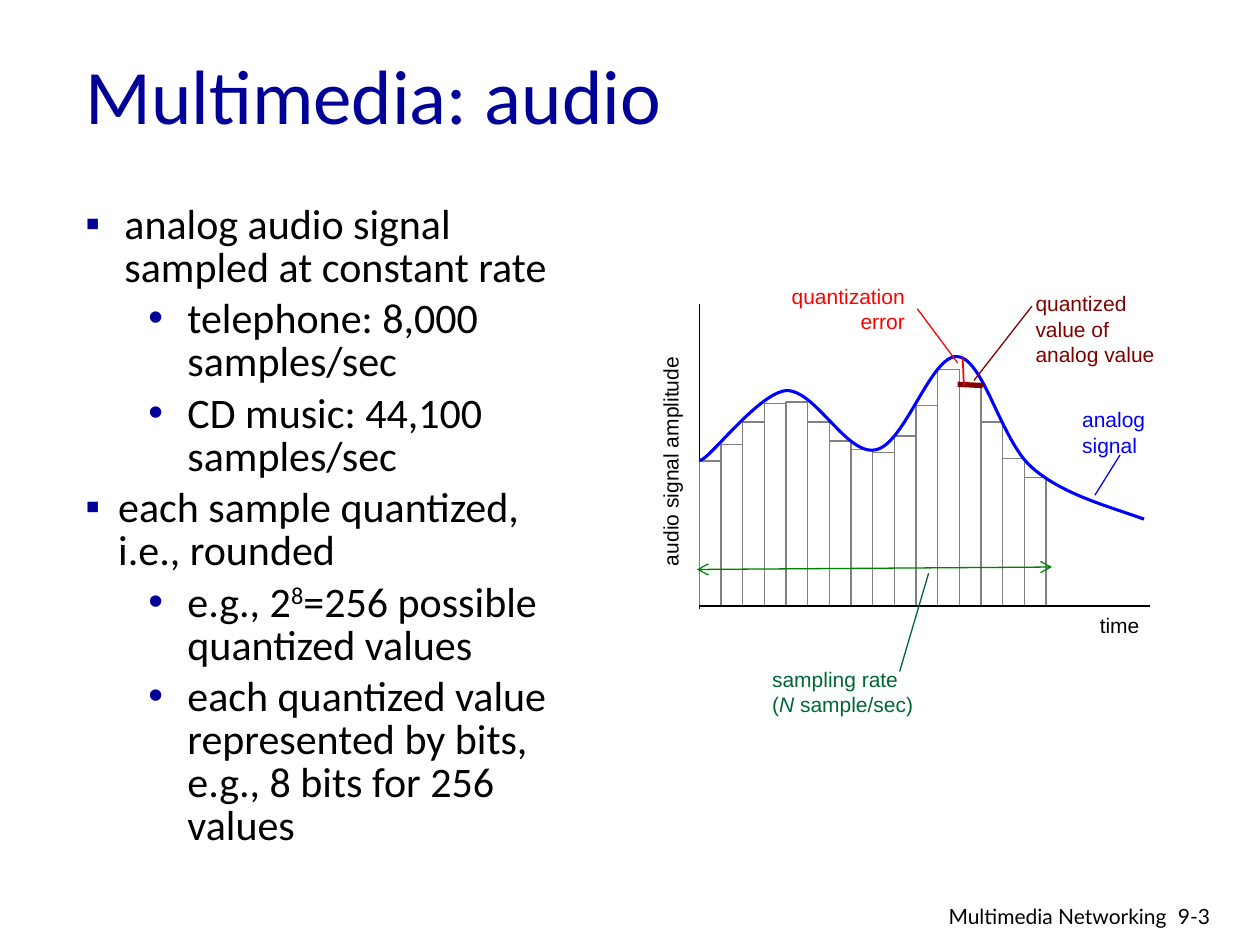
from dataclasses import dataclass

from lxml import etree
from pptx import Presentation
from pptx.dml.color import RGBColor
from pptx.enum.shapes import MSO_CONNECTOR, MSO_SHAPE
from pptx.enum.text import MSO_ANCHOR, MSO_AUTO_SIZE, PP_ALIGN
from pptx.oxml.ns import qn
from pptx.util import Emu, Inches, Pt

LINE, RECT = MSO_CONNECTOR.STRAIGHT, MSO_SHAPE.RECTANGLE
TOP, MIDDLE = MSO_ANCHOR.TOP, MSO_ANCHOR.MIDDLE
GROW, FIXED = MSO_AUTO_SIZE.SHAPE_TO_FIT_TEXT, MSO_AUTO_SIZE.NONE
LEFT, RIGHT = PP_ALIGN.LEFT, PP_ALIGN.RIGHT

WIDE, HIGH = Inches(10), Inches(7.5)
COLS, ROWS = 100, 75


@dataclass(frozen=True)
class Theme:
    """Hold the colours, fonts and type sizes."""
    ink: str = "000000"
    navy: str = "000099"
    gray: str = "808080"
    blue: str = "0000FF"
    maroon: str = "800000"
    red: str = "FF0000"
    green: str = "008000"
    forest: str = "006633"
    body: str = "Calibri"
    label: str = "Arial"
    foot: str = "Lato"
    title_size: int = 44
    body_size: int = 24
    small_size: int = 12
    thin: float = 0.75


THEME = Theme()


@dataclass(frozen=True)
class Box:
    """Hold a region in grid columns and rows."""
    left: float
    top: float
    width: float
    height: float

    def spot(self, x, y):
        """Turn a cell of this region into a point on the slide."""
        return (Emu(round((self.left + x) * WIDE / COLS)),
                Emu(round((self.top + y) * HIGH / ROWS)))

    def inner(self, x, y, width, height):
        """Return a region placed relative to this one."""
        return Box(self.left + x, self.top + y, width, height)

    def frame(self):
        """Return left, top, width and height as lengths."""
        return (*self.spot(0, 0), Emu(round(self.width * WIDE / COLS)),
                Emu(round(self.height * HIGH / ROWS)))


def add_run(para, text, font, size, color, italic=None, base=None):
    """Add one styled run to a paragraph."""
    run = para.add_run()
    run.text = text
    run.font.name, run.font.size = font, Pt(size)
    run.font.color.rgb = RGBColor.from_string(color)
    run.font.italic = italic
    if base:
        run._r.get_or_add_rPr().set("baseline", str(base * 1000))


def add_box(shapes, box, anchor=TOP, wrap=True, fit=FIXED):
    """Add an empty text box and return its shape."""
    shape = shapes.add_textbox(*box.frame())
    frame = shape.text_frame
    frame.word_wrap, frame.auto_size = wrap, fit
    frame.vertical_anchor = anchor
    return shape


def add_label(shapes, box, lines, color, wrap=True, align=LEFT,
              font=THEME.label, fit=GROW):
    """Write small lines, each a list of text and italic pairs."""
    shape = add_box(shapes, box, wrap=wrap, fit=fit)
    for i, line in enumerate(lines):
        frame = shape.text_frame
        para = frame.add_paragraph() if i else frame.paragraphs[0]
        para.alignment = align
        for text, italic in [(line, None)] if isinstance(line, str) else line:
            add_run(para, text, font, THEME.small_size, color, italic)
    return shape


def add_line(shapes, box, start, end, color, width=THEME.thin, arrows=False):
    """Draw a straight line between two cells of a region."""
    line = shapes.add_connector(LINE, *box.spot(*start), *box.spot(*end))
    line.line.color.rgb = RGBColor.from_string(color)
    line.line.width = Pt(width)
    if arrows:
        for tag in ("a:headEnd", "a:tailEnd"):
            etree.SubElement(line.line._get_or_add_ln(), qn(tag), type="arrow")
    etree.SubElement(line._element.spPr, qn("a:effectLst"))


def add_bullet(para, mark, indent, hang):
    """Give a paragraph a coloured bullet and a hanging indent."""
    props = para._p.get_or_add_pPr()
    props.set("marL", str(Inches(indent)))
    props.set("indent", str(-Inches(hang)))
    tint = etree.SubElement(props, qn("a:buClr"))
    etree.SubElement(tint, qn("a:srgbClr"), val=THEME.navy)
    etree.SubElement(props, qn("a:buFont"), typeface=THEME.label)
    etree.SubElement(props, qn("a:buChar"), char=mark)


def add_title(shapes, box):
    """Write the slide title."""
    para = add_box(shapes, box, MIDDLE).text_frame.paragraphs[0]
    add_run(para, "Multimedia: audio", THEME.body, THEME.title_size, THEME.navy)


def add_points(shapes, box):
    """Write the two-level list of points."""
    points = [
        (0, 0.31, [("analog audio signal sampled at constant rate", None)]),
        (1, 0.81, [("telephone: 8,000 samples/sec", None)]),
        (1, 0.81, [("CD music: 44,100 samples/sec", None)]),
        (0, 0.26, [("each sample quantized, i.e., rounded", None)]),
        (1, 0.81, [("e.g., 2", None), ("8", 30),
                   ("=256 possible quantized values", None)]),
        (1, 0.81, [("each quantized value represented by bits, "
                    "e.g., 8 bits for 256 values", None)]),
    ]
    frame = add_box(shapes, box).text_frame
    for i, (level, indent, runs) in enumerate(points):
        para = frame.add_paragraph() if i else frame.paragraphs[0]
        para.level = level
        add_bullet(para, "▪•"[level], indent, min(indent, 0.31))
        para.line_spacing = 0.85
        para.space_before = Pt(5 if i else 0)
        for text, base in runs:
            add_run(para, text, THEME.body, THEME.body_size, THEME.ink, base=base)


def add_bars(shapes, box):
    """Draw the evenly spaced sample bars down to the time axis."""
    tops = [12.5, 11.2, 9.4, 7.9, 7.8, 9.4, 10.9, 11.6,
            11.8, 10.5, 8.1, 5.2, 6.5, 9.4, 12.3, 13.8]
    step = 1.72
    for i, top in enumerate(tops):
        place = box.inner(i * step, top, step, box.height - top)
        bar = shapes.add_shape(RECT, *place.frame())
        bar.shadow.inherit = False
        bar.fill.background()
        bar.line.color.rgb = RGBColor.from_string(THEME.gray)
        bar.line.width = Pt(THEME.thin)


def add_wave(shapes, box):
    """Draw the analog signal as a chain of smooth cubic arcs."""
    knots = [(0, 12.4), (0.4, 12.9), (4.6, 7.1), (6.9, 6.9),
             (9.2, 6.8), (11.7, 12.1), (14, 11.6),
             (16.3, 11.2), (18.4, 4), (20.5, 4.2),
             (22.6, 4.4), (23.9, 10.8), (26.4, 13),
             (28.8, 15.1), (32.2, 16), (35.3, 17.1)]
    steps, points = 24, []
    for i in range(0, len(knots) - 1, 3):
        for k in range(1, steps + 1):
            t = k / steps
            mix = ((1 - t) ** 3, 3 * t * (1 - t) ** 2, 3 * t * t * (1 - t), t ** 3)
            spot = [sum(m * v for m, v in zip(mix, axis))
                    for axis in zip(*knots[i:i + 4])]
            points.append(box.spot(*spot))
    curve = shapes.build_freeform(*box.spot(*knots[0]))
    curve.add_line_segments(points, close=False)
    wave = curve.convert_to_shape()
    wave.shadow.inherit = False
    wave.fill.background()
    wave.line.color.rgb = RGBColor.from_string(THEME.blue)
    wave.line.width = Pt(1.75)


def add_notes(shapes, box):
    """Add the grouped callouts around the signal."""
    group = shapes.add_group_shape().shapes
    add_line(group, box, (20.5, 6.4), (22.5, 6.5), THEME.maroon, 3)
    add_label(group, box.inner(25.7, -1.5, 12.8, 7.1),
              ["quantized value of", "analog value"], THEME.maroon)
    add_line(group, box, (26.4, 0.2), (21.8, 6.1), THEME.maroon)

    group = shapes.add_group_shape().shapes
    add_label(group, box.inner(5.2, -2.1, 12.1, 5.1),
              ["quantization error"], THEME.red, align=RIGHT)
    add_line(group, box, (20.9, 4.2), (21, 6.5), THEME.red, 1)
    add_line(group, box, (17.3, 0.4), (20.5, 4.7), THEME.red)

    group = shapes.add_group_shape().shapes
    add_line(group, box, (-0.2, 21.1), (28, 20.9), THEME.green, arrows=True)
    add_label(group, box.inner(4.8, 28.3, 18.7, 5),
              ["sampling rate", [("(", None), ("N ", True), ("sample/sec)", False)]],
              THEME.forest)
    add_line(group, box, (15.9, 29.2), (18.2, 21.4), THEME.forest)


def add_plot(shapes, box):
    """Draw the sampled signal with its axes and labels."""
    add_line(shapes, box, (0, 0), (0, box.height + 0.2), THEME.ink)
    add_bars(shapes, box)
    add_line(shapes, box, (0, box.height), (box.width, box.height), THEME.ink)
    add_label(shapes, box.inner(30.8, 24, 5.2, 3), ["time"], THEME.ink, wrap=False)
    side = add_label(shapes, box.inner(-11.7, 10.9, 18.8, 3),
                     ["audio signal amplitude"], THEME.ink, wrap=False)
    side.rotation = 270
    add_label(shapes, box.inner(29.4, 7.7, 7.1, 5.1),
              ["analog", "signal"], THEME.blue, wrap=False)
    add_wave(shapes, box)
    add_line(shapes, box, (33.4, 12), (31.4, 15.2), THEME.blue)
    add_notes(shapes, box)


def add_footer(shapes, box):
    """Write the chapter name and the page number."""
    add_label(shapes, box.inner(20.5, 0, 7.5, 3), ["9-3"], THEME.ink,
              font=THEME.foot, fit=FIXED)
    add_label(shapes, box.inner(0, 0, 21.6, 2.8), ["Multimedia Networking"],
              THEME.ink, align=RIGHT, font=THEME.foot, fit=FIXED)


def main():
    """Build the slide and save it."""
    deck = Presentation()
    deck.slide_width, deck.slide_height = WIDE, HIGH
    shapes = deck.slides.add_slide(deck.slide_layouts[6]).shapes
    add_title(shapes, Box(5.8, 1.2, 54.4, 12.5))
    add_points(shapes, Box(5.8, 15.8, 41.7, 50.8))
    add_plot(shapes, Box(55.5, 24.1, 35.8, 24))
    add_footer(shapes, Box(72, 71.2, 28, 3))
    deck.save("out.pptx")


if __name__ == "__main__":
    main()
